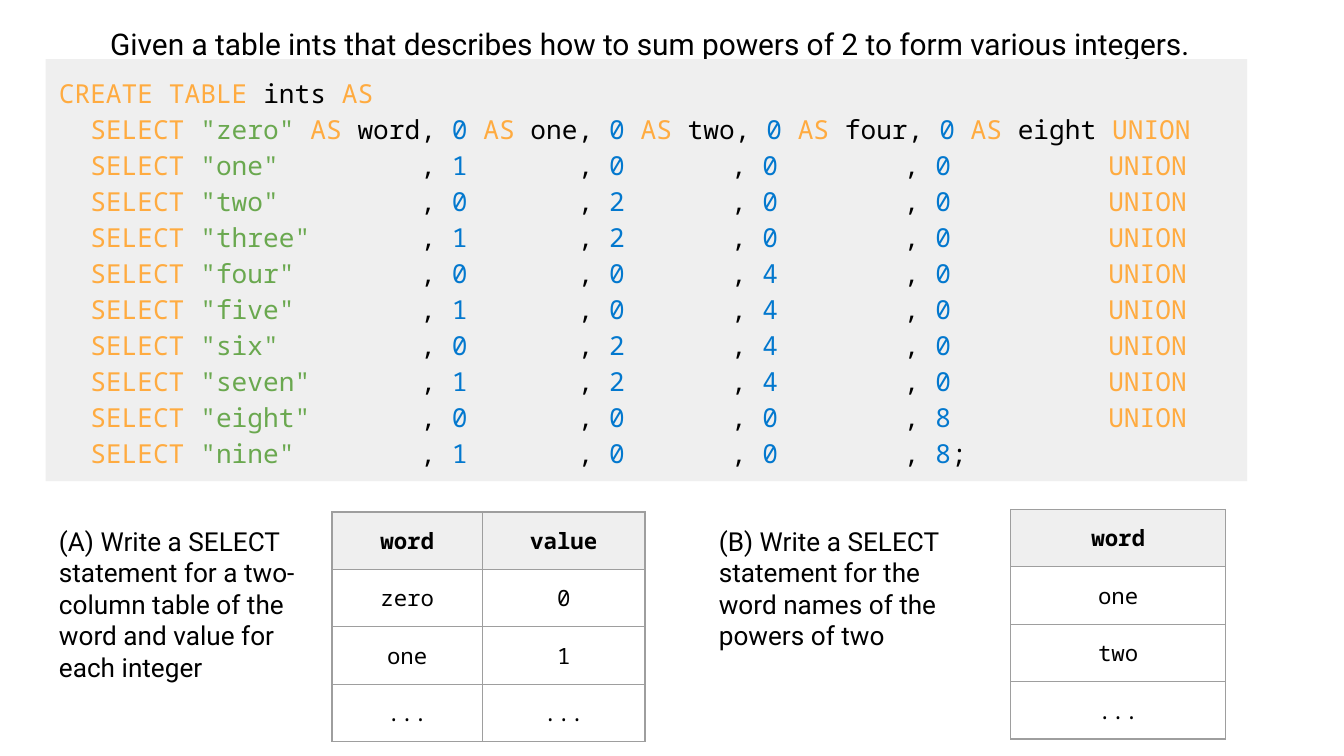
import itertools

import pptx
import pptx.dml.color
import pptx.enum.shapes
import pptx.enum.text
import pptx.oxml
import pptx.oxml.ns
import pptx.util

Inches = pptx.util.Inches
Pt = pptx.util.Pt
RGB = pptx.dml.color.RGBColor
Align = pptx.enum.text.PP_ALIGN

BLACK = RGB(0x00, 0x00, 0x00)
GRAY = RGB(0xEF, 0xEF, 0xEF)
ORANGE = RGB(0xFF, 0xAB, 0x40)
GREEN = RGB(0x6A, 0xA8, 0x4F)
BLUE = RGB(0x03, 0x78, 0xCE)
LINE = RGB(0x9E, 0x9E, 0x9E)

SANS = "Roboto"
MONO = "Noto Sans Mono"
NS = pptx.oxml.ns.nsdecls("a")
KEYS = {"CREATE", "TABLE", "AS", "SELECT", "UNION"}
NAMES = ["one", "two", "three", "four", "five", "six", "seven", "eight", "nine"]


def tint(token):
    """Colour of one SQL token."""
    if token in KEYS:
        return ORANGE
    if token.startswith('"'):
        return GREEN
    return BLUE if token.isdigit() else BLACK


def tokens(line):
    """Split a line of SQL into coloured pieces."""
    for _, group in itertools.groupby(line, lambda c: c.isalnum() or c == '"'):
        token = "".join(group)
        yield token, tint(token)


def write(para, text, size=14, font=SANS, color=BLACK, bold=False,
          align=Align.LEFT, space=1.0, code=False):
    para.alignment = align
    para.line_spacing = space
    for piece, shade in tokens(text) if code else [(text, color)]:
        run = para.add_run()
        run.text = piece
        run.font.size = Pt(size)
        run.font.name = font
        run.font.bold = bold
        run.font.color.rgb = shade


def sql():
    """Each integer is the sum of the powers of two in its row."""
    lines = ["CREATE TABLE ints AS",
             '  SELECT "zero" AS word, 0 AS one, 0 AS two, 0 AS four, 0 AS eight UNION']
    for value, name in enumerate(NAMES, 1):
        one, two, four, eight = (value & bit for bit in (1, 2, 4, 8))
        quoted = f'"{name}"'
        end = ";" if name == NAMES[-1] else " " * 10 + "UNION"
        lines.append(f"  SELECT {quoted:<14}, {one}       , {two}\t, {four}"
                     f"        , {eight}{end}")
    return lines


class Deck:
    def __init__(self):
        self.file = pptx.Presentation()
        # Widescreen, 16:9
        self.file.slide_width = Inches(10)
        self.file.slide_height = Inches(10) * 9 // 16
        self.slide = self.file.slides.add_slide(self.file.slide_layouts[5])

    def frame(self, shape):
        frame = shape.text_frame
        frame.word_wrap = True
        frame.auto_size = pptx.enum.text.MSO_AUTO_SIZE.NONE
        frame.vertical_anchor = pptx.enum.text.MSO_ANCHOR.TOP
        frame.margin_left = frame.margin_right = Inches(0.1)
        frame.margin_top = frame.margin_bottom = Inches(0.1)
        return frame

    def title(self, text, left, top, width, height):
        shape = self.slide.shapes.title
        shape.left, shape.top = Inches(left), Inches(top)
        shape.width, shape.height = Inches(width), Inches(height)
        write(self.frame(shape).paragraphs[0], text, size=16, space=1.15)

    def code(self, lines, left, top, width, height, tab):
        shape = self.slide.shapes.add_shape(
            pptx.enum.shapes.MSO_SHAPE.RECTANGLE,
            Inches(left), Inches(top), Inches(width), Inches(height))
        shape.shadow.inherit = False
        shape.fill.solid()
        shape.fill.fore_color.rgb = GRAY
        shape.line.fill.background()
        frame = self.frame(shape)
        for i, line in enumerate(lines):
            para = frame.add_paragraph() if i else frame.paragraphs[0]
            write(para, line, font=MONO, space=1.15, code=True)
            if "\t" in line:
                para._p.get_or_add_pPr().append(pptx.oxml.parse_xml(
                    f'<a:tabLst {NS}><a:tab pos="{Inches(tab)}" algn="l"/></a:tabLst>'))

    def note(self, text, left, top, width, height):
        shape = self.slide.shapes.add_textbox(
            Inches(left), Inches(top), Inches(width), Inches(height))
        write(self.frame(shape).paragraphs[0], text)

    def table(self, rows, left, top, widths, height):
        table = self.slide.shapes.add_table(
            len(rows), len(widths), Inches(left), Inches(top),
            Inches(sum(widths)), Inches(height)).table
        table.first_row = table.horz_banding = False
        for column, width in zip(table.columns, widths):
            column.width = Inches(width)
        for r, row in enumerate(rows):
            for c, text in enumerate(row):
                self.cell(table.cell(r, c), text, head=r == 0)

    def cell(self, cell, text, head):
        cell.margin_left = cell.margin_right = Inches(0.1)
        cell.margin_top = cell.margin_bottom = Inches(0.1)
        write(cell.text_frame.paragraphs[0], text, size=12, font=MONO,
              bold=head, align=Align.CENTER)
        # Borders come before the fill in the cell's properties
        for side in "LRTB":
            cell._tc.get_or_add_tcPr().append(pptx.oxml.parse_xml(
                f'<a:ln{side} {NS} w="{Pt(0.75)}"><a:solidFill>'
                f'<a:srgbClr val="{LINE}"/></a:solidFill></a:ln{side}>'))
        if head:
            cell.fill.solid()
            cell.fill.fore_color.rgb = GRAY
        else:
            cell.fill.background()


def main():
    deck = Deck()

    # Title and SQL listing
    deck.title("Given a table ints that describes how to sum powers of 2 "
               "to form various integers.", 0.72, 0.05, 8.56, 0.54)
    deck.code(sql(), 0.34, 0.44, 8.94, 3.14, tab=5)

    # Tasks
    deck.note("(A) Write a SELECT statement for a two-column table of the "
              "word and value for each integer", 0.34, 3.81, 1.98, 0.54)
    deck.note("(B) Write a SELECT statement for the word names of the "
              "powers of two", 5.25, 3.81, 1.98, 0.54)

    # Expected results
    deck.table([("word", "value"), ("zero", "0"), ("one", "1"), ("...", "...")],
               2.47, 3.81, [1.12, 1.21], 1.6)
    deck.table([("word",), ("one",), ("two",), ("...",)], 7.52, 3.79, [1.6], 1.6)

    deck.file.save("out.pptx")


if __name__ == "__main__":
    main()
